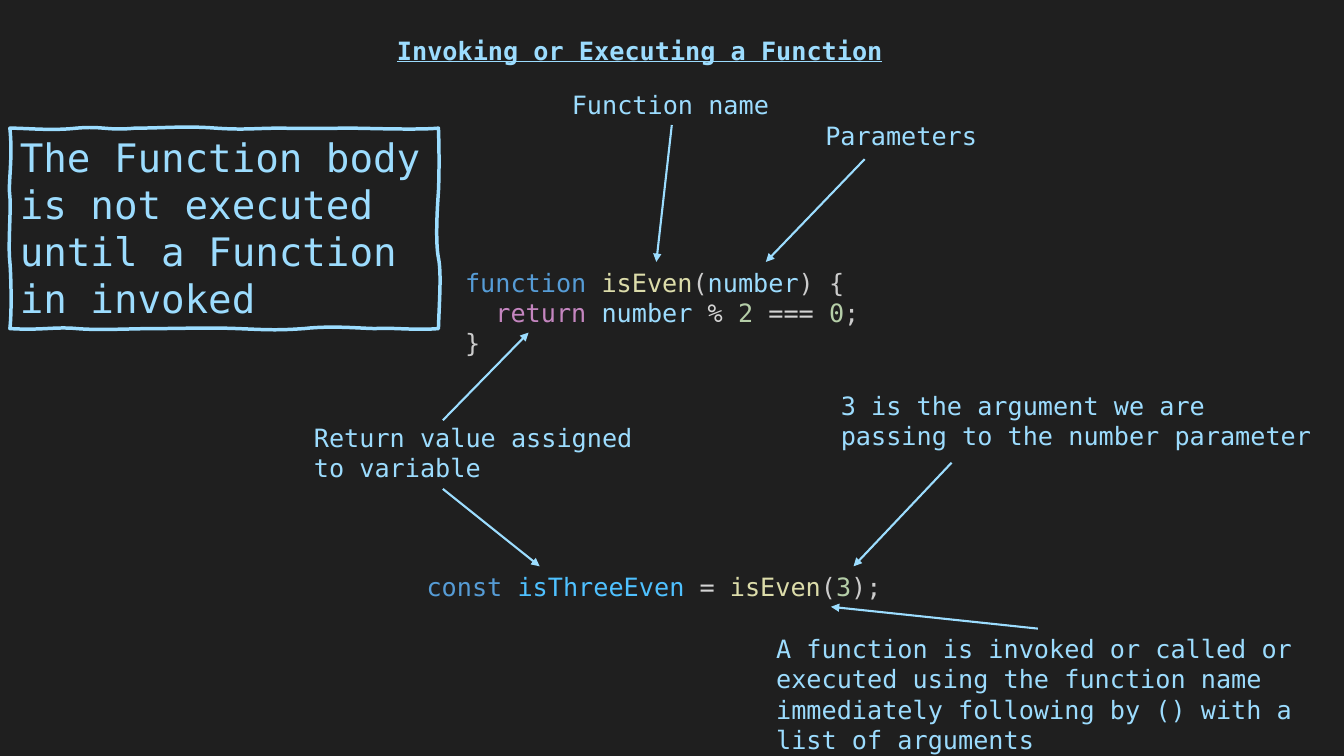
from lxml import etree
from pptx import Presentation
from pptx.dml.color import RGBColor
from pptx.enum.shapes import MSO_CONNECTOR
from pptx.enum.text import MSO_ANCHOR, MSO_AUTO_SIZE, PP_ALIGN
from pptx.oxml.ns import qn
from pptx.util import Cm, Pt

STRAIGHT = MSO_CONNECTOR.STRAIGHT
TOP = MSO_ANCHOR.TOP
LEFT = PP_ALIGN.LEFT
FIT_SHAPE = MSO_AUTO_SIZE.SHAPE_TO_FIT_TEXT
TOP_SIDE, BOTTOM_SIDE = 0, 2
TITLE_ONLY = 5

FONT = "DejaVu Sans Mono"
COLORS = {
    "background": "1F1F1F",
    "line": "9CDDFF",
    "text": "9CDCFE",
    "keyword": "569CD6",
    "control": "C586C0",
    "function": "DCDCAA",
    "constant": "4FC1FF",
    "number": "B5CEA8",
    "operator": "D4D4D4",
    "plain": "CCCCCC",
}

FUNCTION_CODE = [
    [("function", "keyword"), (" ", "plain"), ("isEven", "function"),
     ("(", "plain"), ("number", "text"), (") {", "plain")],
    [("  return", "control"), (" ", "plain"), ("number", "text"),
     (" ", "plain"), ("%", "operator"), (" ", "plain"), ("2", "number"),
     (" ", "plain"), ("===", "operator"), (" ", "plain"), ("0", "number"),
     (";", "plain")],
    [("}", "plain")],
]
CALL_CODE = [
    [("const", "keyword"), (" ", "plain"), ("isThreeEven", "constant"),
     (" ", "plain"), ("=", "operator"), (" ", "plain"),
     ("isEven", "function"), ("(", "plain"), ("3", "number"),
     (");", "plain")],
]

FRAME_START = (0.25, 3.23)
FRAME_CURVES = [
    ((0.69, 3.23), (1.3, 3.3), (1.93, 3.23)),
    ((2.59, 3.17), (2.72, 3.3), (3.4, 3.23)),
    ((4.11, 3.23), (4.67, 3.17), (5.44, 3.23)),
    ((6.2, 3.28), (6.4, 3.23), (7.11, 3.23)),
    ((7.85, 3.25), (8.46, 3.23), (8.81, 3.23)),
    ((9.17, 3.23), (10.52, 3.28), (11.05, 3.23)),
    ((11.07, 3.78), (11.07, 4.39), (11.05, 4.83)),
    ((11.02, 5.23), (10.97, 6.1), (11.05, 6.5)),
    ((11.13, 6.88), (11.07, 7.62), (11.05, 8.28)),
    ((10.52, 8.33), (9.8, 8.25), (9.47, 8.28)),
    ((9.12, 8.28), (8.38, 8.2), (7.67, 8.28)),
    ((6.96, 8.33), (6.73, 8.31), (5.97, 8.28)),
    ((5.21, 8.25), (4.65, 8.28), (3.96, 8.28)),
    ((3.28, 8.28), (2.51, 8.33), (1.93, 8.28)),
    ((1.37, 8.23), (1.04, 8.33), (0.25, 8.28)),
    ((0.3, 7.85), (0.28, 6.98), (0.25, 6.6)),
    ((0.2, 6.2), (0.28, 5.31), (0.25, 4.95)),
    ((0.2, 4.62), (0.33, 4.01), (0.25, 3.23)),
]


def color(name):
    """Return the named colour."""
    return RGBColor.from_string(COLORS[name])


def format_run(run, color_name="text", size=18):
    """Set the font, size, colour and highlight of a run."""
    run.font.name = FONT
    run.font.size = Pt(size)
    run.font.color.rgb = color(color_name)
    highlight = etree.Element(qn("a:highlight"))
    etree.SubElement(highlight, qn("a:srgbClr"), val=COLORS["background"])
    run._r.rPr.find(qn("a:solidFill")).addnext(highlight)


def fill_text(shape, text, size=18, wrap=True):
    """Write left-aligned text at the top of a shape."""
    frame = shape.text_frame
    frame.text = text
    frame.word_wrap = wrap
    frame.auto_size = FIT_SHAPE
    frame.vertical_anchor = TOP
    for paragraph in frame.paragraphs:
        paragraph.alignment = LEFT
        for run in paragraph.runs:
            format_run(run, size=size)


def add_title(slide, text):
    """Move the title placeholder and write the underlined title."""
    title = slide.shapes.title
    title.left, title.top = Cm(9.75), Cm(0.76)
    title.width, title.height = Cm(14.35), Cm(1.02)
    fill_text(title, text)
    font = title.text_frame.paragraphs[0].runs[0].font
    font.bold = True
    font.underline = True


def add_label(slide, text, left, top, width, height, wrap=False):
    """Add an explanatory text box."""
    label = slide.shapes.add_textbox(Cm(left), Cm(top), Cm(width), Cm(height))
    fill_text(label, text, wrap=wrap)
    return label


def add_code(slide, lines, left, top, width, height):
    """Add a text box of coloured code tokens."""
    box = slide.shapes.add_textbox(Cm(left), Cm(top), Cm(width), Cm(height))
    frame = box.text_frame
    frame.word_wrap = True
    frame.auto_size = FIT_SHAPE
    for index, tokens in enumerate(lines):
        paragraph = frame.add_paragraph() if index else frame.paragraphs[0]
        for text, color_name in tokens:
            run = paragraph.add_run()
            run.text = text
            format_run(run, color_name)


def add_arrow(slide, start, end, source=None, side=None):
    """Add an arrow, joined to a side of the source when one is given."""
    x1, y1, x2, y2 = (Cm(value) for value in (*start, *end))
    arrow = slide.shapes.add_connector(STRAIGHT, x1, y1, x2, y2)
    if source is not None:
        arrow.begin_connect(source, side)
    arrow.line.color.rgb = color("line")
    arrow.line.width = Pt(1.5)
    line = arrow.line._get_or_add_ln()
    etree.SubElement(line, qn("a:tailEnd"), type="triangle")
    etree.SubElement(arrow._element.spPr, qn("a:effectLst"))


def bend_segments(shape, curves):
    """Turn the straight segments of a freeform into cubic curves."""
    segments = list(shape._element.iter(qn("a:lnTo")))
    for segment, points in zip(segments, curves):
        curve = etree.Element(qn("a:cubicBezTo"))
        for x, y in points:
            etree.SubElement(curve, qn("a:pt"), x=str(Cm(x) - shape.left),
                             y=str(Cm(y) - shape.top))
        segment.getparent().replace(segment, curve)


def add_sketched_note(slide, text):
    """Add the large note inside a hand-drawn frame."""
    builder = slide.shapes.build_freeform(*(Cm(v) for v in FRAME_START))
    builder.add_line_segments([(Cm(x), Cm(y)) for *_, (x, y) in FRAME_CURVES])
    note = builder.convert_to_shape()
    bend_segments(note, FRAME_CURVES)
    note.shadow.inherit = False
    note.fill.background()
    note.line.color.rgb = color("line")
    note.line.width = Pt(2.5)
    fill_text(note, text, size=28)


def main():
    """Build and save the slide."""
    presentation = Presentation()
    presentation.slide_width, presentation.slide_height = Cm(33.87), Cm(19.05)
    slide = presentation.slides.add_slide(presentation.slide_layouts[TITLE_ONLY])
    slide.background.fill.solid()
    slide.background.fill.fore_color.rgb = color("background")

    add_title(slide, "Invoking or Executing a Function")
    add_code(slide, FUNCTION_CODE, 11.47, 6.6, 10.92, 2.57)
    add_code(slide, CALL_CODE, 10.5, 14.27, 12.5, 1.02)

    name = add_label(slide, "Function name", 14.16, 2.13, 5.54, 1.02)
    add_label(slide, "Parameters", 20.55, 2.91, 4.39, 1.02)
    add_label(slide, "Return value assigned to variable",
              7.66, 10.52, 9.27, 1.8, wrap=True)
    add_label(slide, "3 is the argument we are \vpassing to the number parameter",
              20.94, 9.7, 12.52, 1.8)
    invocation = add_label(
        slide, "A function is invoked or called or\vexecuted using the function "
        "name\vimmediately following by () with a\vlist of arguments",
        19.31, 15.84, 13.69, 3.33)

    add_arrow(slide, (16.93, 3.15), (16.54, 6.6), name, BOTTOM_SIDE)
    add_arrow(slide, (21.79, 4.01), (19.3, 6.6))
    add_arrow(slide, (11.16, 10.59), (13.32, 8.38))
    add_arrow(slide, (11.16, 12.32), (13.6, 14.27))
    add_arrow(slide, (23.98, 11.66), (21.51, 14.27))
    add_arrow(slide, (26.16, 15.84), (20.94, 15.29), invocation, TOP_SIDE)

    add_sketched_note(
        slide, "The Function body is not executed until a Function in invoked")
    presentation.save("out.pptx")


if __name__ == "__main__":
    main()
